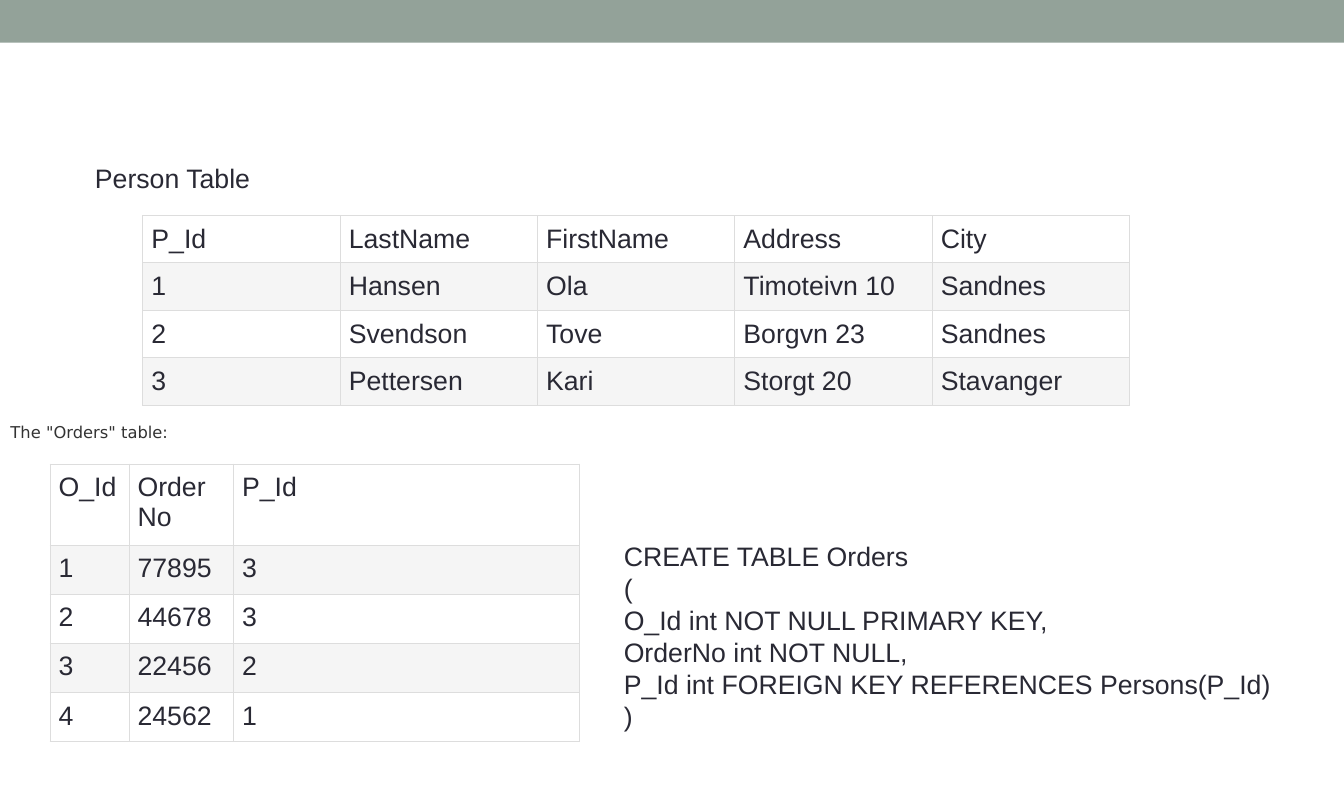
"""Build a slide showing two related tables and the SQL foreign key that joins them."""
from dataclasses import dataclass

from lxml import etree
from pptx import Presentation
from pptx import util as u
from pptx.dml.color import RGBColor
from pptx.enum import shapes, text
from pptx.oxml import ns


@dataclass(frozen=True)
class Theme:
    """Colours, fonts and type sizes of the slide."""

    band: str = "93A299"
    ink: str = "292934"
    caption_ink: str = "333333"
    border: str = "DDDDDD"
    row_fills: tuple = ("FFFFFF", "F5F5F5")
    font: str = "Arial"
    caption_font: str = "DejaVu Sans"
    size: float = 18
    caption_size: float = 11
    code_leading: float = 21.6
    border_width: float = 0.75
    cell_margin: float = 0.08


class SlideBuilder:
    """Places elements on a slide by columns and rows of a 126 by 75 grid."""

    COLUMNS, ROWS = 126, 75

    def __init__(self, presentation, theme):
        """Start a slide from the title-only layout."""
        self.theme = theme
        self.column = presentation.slide_width / self.COLUMNS
        self.row = presentation.slide_height / self.ROWS
        self.slide = presentation.slides.add_slide(presentation.slide_layouts[5])

    def box(self, left, top, width, height):
        """Turn grid units into slide lengths."""
        return (u.Emu(round(left * self.column)), u.Emu(round(top * self.row)),
                u.Emu(round(width * self.column)), u.Emu(round(height * self.row)))

    def add_lines(self, paragraph, lines, size=None, font=None, color=None):
        """Add one formatted run per line, parted by line breaks."""
        for index, line in enumerate(lines):
            if index:
                paragraph.add_line_break()
            run = paragraph.add_run()
            run.text = line
            run.font.size = u.Pt(size or self.theme.size)
            run.font.name = font or self.theme.font
            run.font.color.rgb = RGBColor.from_string(color or self.theme.ink)

    def add_band(self, *area):
        """Draw the coloured band across the slide."""
        shape = self.slide.shapes.add_shape(shapes.MSO_SHAPE.RECTANGLE, *self.box(*area))
        shape.shadow.inherit = False
        shape.fill.solid()
        shape.fill.fore_color.rgb = RGBColor.from_string(self.theme.band)
        shape.line.fill.background()

    def set_title(self, words, *area):
        """Move the title placeholder and fill it."""
        title = self.slide.shapes.title
        title.left, title.top, title.width, title.height = self.box(*area)
        frame = title.text_frame
        frame.word_wrap = True
        frame.auto_size = text.MSO_AUTO_SIZE.NONE
        frame.vertical_anchor = text.MSO_ANCHOR.TOP
        paragraph = frame.paragraphs[0]
        paragraph.alignment = text.PP_ALIGN.LEFT
        self.add_lines(paragraph, [words])

    def add_text(self, lines, *area, leading=None, **style):
        """Add a text box whose lines share one paragraph."""
        frame = self.slide.shapes.add_textbox(*self.box(*area)).text_frame
        frame.word_wrap = True
        paragraph = frame.paragraphs[0]
        if leading:
            paragraph.line_spacing = u.Pt(leading)
        self.add_lines(paragraph, lines, **style)

    def add_table(self, records, left, top, widths, heights):
        """Add a bordered table with alternating row fills."""
        area = self.box(left, top, sum(widths), sum(heights))
        table = self.slide.shapes.add_table(len(heights), len(widths), *area).table
        table.first_row = table.horz_banding = False
        for column, width in zip(table.columns, widths):
            column.width = u.Emu(round(width * self.column))
        for index, (row, height, record) in enumerate(zip(table.rows, heights, records)):
            row.height = u.Emu(round(height * self.row))
            fill = self.theme.row_fills[index % 2]
            for cell, words in zip(row.cells, record):
                self.format_cell(cell, words, fill)

    def format_cell(self, cell, words, fill):
        """Set the margins, borders, fill and text of a cell."""
        margin = u.Inches(self.theme.cell_margin)
        cell.margin_left = cell.margin_right = margin
        cell.margin_top = cell.margin_bottom = margin
        properties = cell._tc.get_or_add_tcPr()
        for side in ("a:lnL", "a:lnR", "a:lnT", "a:lnB"):
            line = etree.SubElement(properties, ns.qn(side), w=str(u.Pt(self.theme.border_width)))
            solid = etree.SubElement(line, ns.qn("a:solidFill"))
            etree.SubElement(solid, ns.qn("a:srgbClr"), val=self.theme.border)
        cell.fill.solid()
        cell.fill.fore_color.rgb = RGBColor.from_string(fill)
        self.add_lines(cell.text_frame.paragraphs[0], words.split("\n"))


PERSONS = [
    ("P_Id", "LastName", "FirstName", "Address", "City"),
    ("1", "Hansen", "Ola", "Timoteivn 10", "Sandnes"),
    ("2", "Svendson", "Tove", "Borgvn 23", "Sandnes"),
    ("3", "Pettersen", "Kari", "Storgt 20", "Stavanger"),
]
ORDERS = [
    ("O_Id", "Order\nNo", "P_Id"),
    ("1", "77895", "3"),
    ("2", "44678", "3"),
    ("3", "22456", "2"),
    ("4", "24562", "1"),
]
CREATE_ORDERS = [
    "CREATE TABLE Orders",
    "(",
    "O_Id int NOT NULL PRIMARY KEY,",
    "OrderNo int NOT NULL,",
    "P_Id int FOREIGN KEY REFERENCES Persons(P_Id)",
    ")",
]


def main():
    """Build and save the slide."""
    presentation = Presentation()
    presentation.slide_width, presentation.slide_height = u.Inches(12.6), u.Inches(7.5)
    theme = Theme()
    builder = SlideBuilder(presentation, theme)
    builder.add_band(0, 0, builder.COLUMNS, 4)
    builder.set_title("Person Table", 7.9, 14.7, 20.5, 4)
    builder.add_table(PERSONS, 13.4, 20.2, [18.5] * 5, [4.45] * 4)
    builder.add_text(['The "Orders" table:'], 0, 39.1, 21.3, 2.8, size=theme.caption_size,
                     font=theme.caption_font, color=theme.caption_ink)
    builder.add_table(ORDERS, 4.7, 43.5, [7.4, 9.8, 32.4], [7] + [4.4] * 4)
    builder.add_text(CREATE_ORDERS, 57.5, 50.1, 63, 19.2, leading=theme.code_leading)
    presentation.save("out.pptx")


if __name__ == "__main__":
    main()
